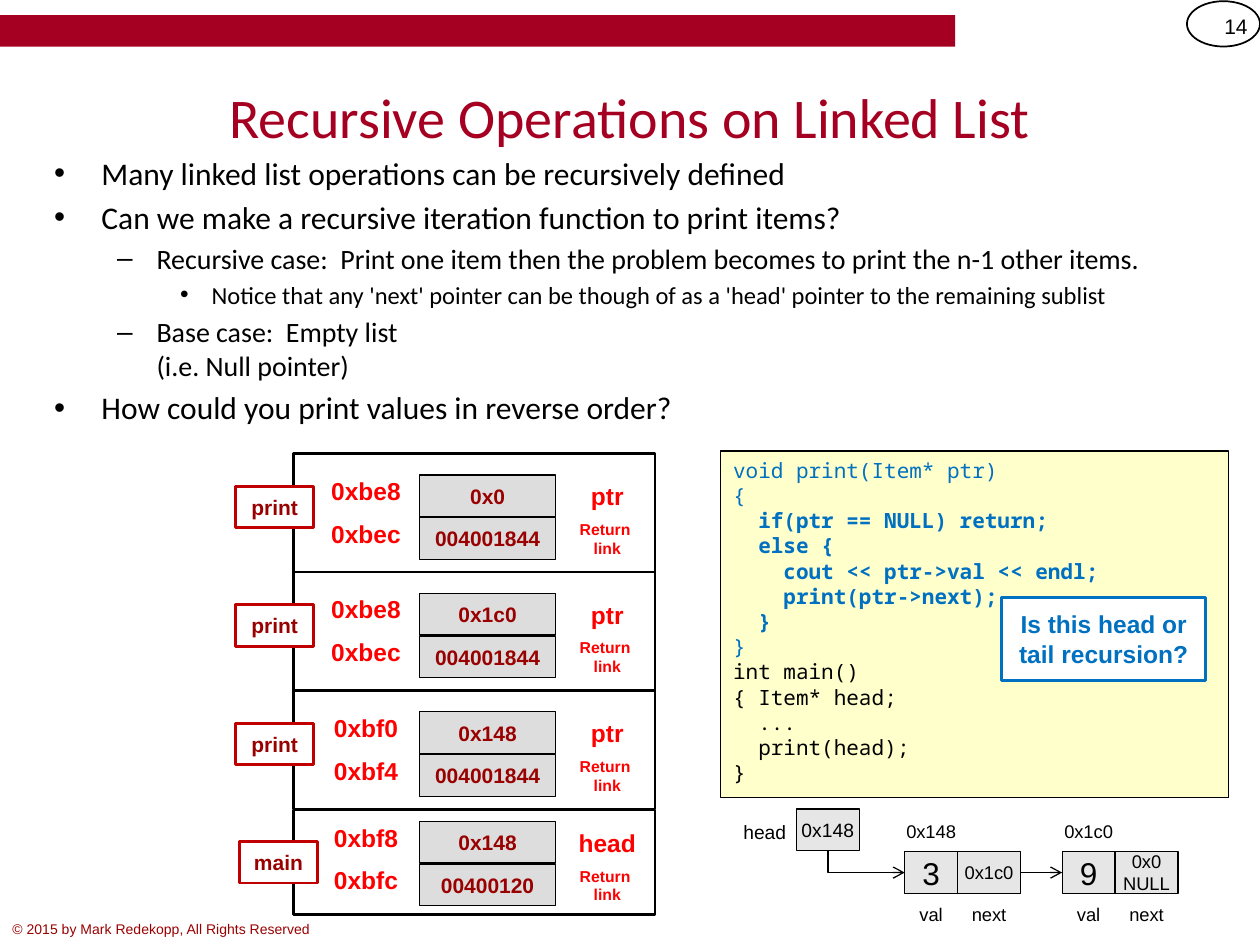
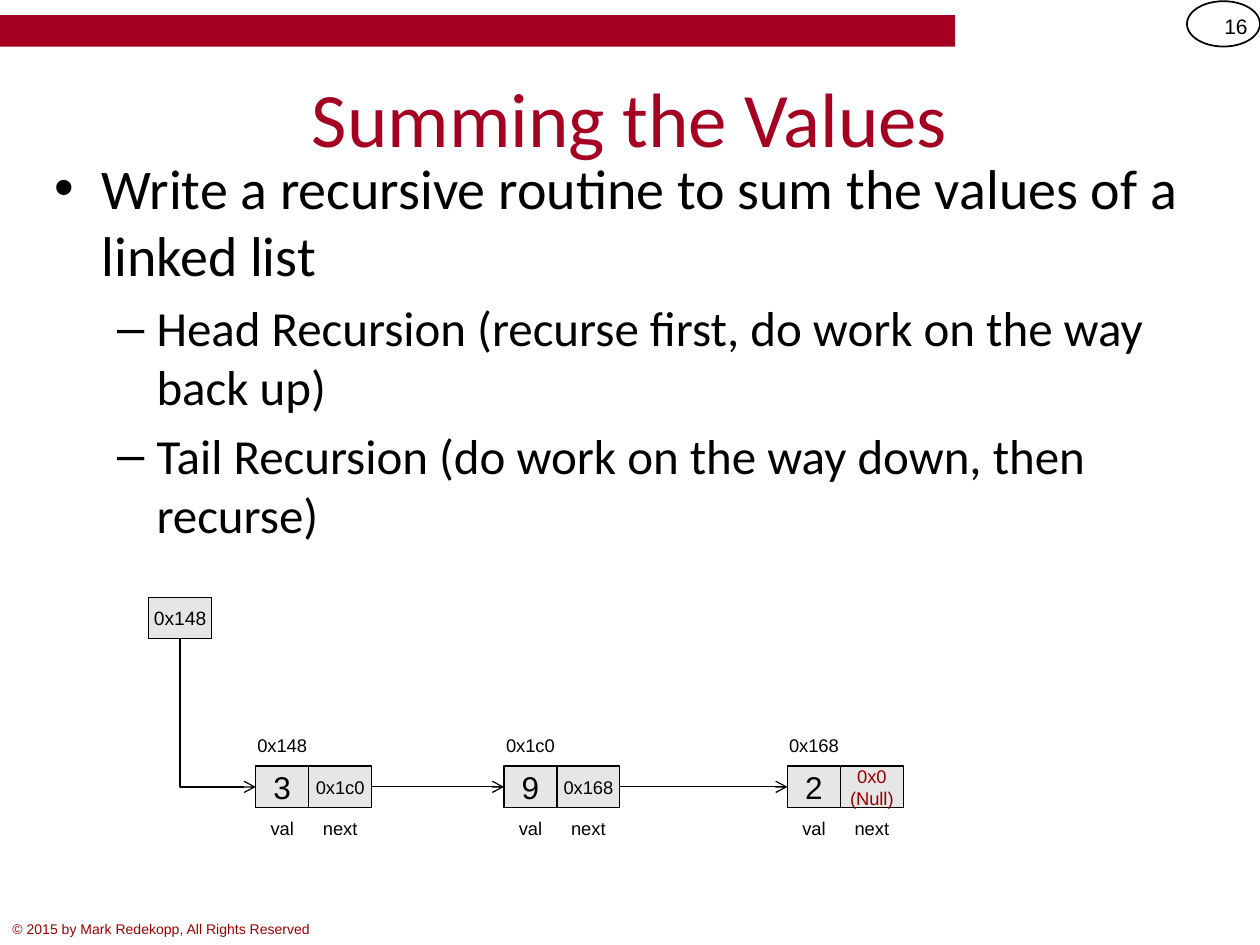
from copy import deepcopy

from pptx import Presentation
from pptx.dml.color import RGBColor
from pptx.enum.shapes import MSO_CONNECTOR, MSO_SHAPE
from pptx.enum.text import MSO_ANCHOR, MSO_AUTO_SIZE, PP_ALIGN
from pptx.oxml.ns import qn
from pptx.util import Inches, Pt
from lxml import etree

COLORS = {
    "black": "000000",
    "white": "FFFFFF",
    "crimson": "A50021",
    "maroon": "990000",
    "tag_line": "C00000",
    "red": "FF0000",
    "blue": "0070C0",
    "node": "E6E6E6",
    "memory": "DDDDDD",
    "code": "FFFFCC",
}
BULLET_SIZES = {"small": (18, 16, 14), "large": (32, 28)}
VALUE_WIDTH, NEXT_WIDTH, CELL_HEIGHT = 0.42, 0.5, 0.33

OPERATIONS = [
    (0, "Many linked list operations can be recursively defined"),
    (0, "Can we make a recursive iteration function to print items?"),
    (1, "Recursive case:  Print one item then the problem becomes to print the n-1 other items."),
    (2, "Notice that any 'next' pointer can be though of as a 'head' pointer to the remaining sublist"),
    (1, "Base case:  Empty list \n(i.e. Null pointer)"),
    (0, "How could you print values in reverse order?"),
]
SUMMING = [
    (0, "Write a recursive routine to sum the values of a linked list"),
    (1, "Head Recursion (recurse first, do work on the way back up)"),
    (1, "Tail Recursion (do work on the way down, then recurse)"),
]
PRINT_CODE = """void print(Item* ptr)
{
  if(ptr == NULL) return;
  else {
    cout << ptr->val << endl;
    print(ptr->next);
  }
}
int main()
{ Item* head;
  ...
  print(head);
}"""
BOLD_CODE_LINES = range(2, 7)
PRINT_FUNCTION_LINES = 8

# addresses of the two cells, then their contents
PRINT_FRAMES = [
    ("0xbe8", "0xbec", "0x0", "004001844"),
    ("0xbe8", "0xbec", "0x1c0", "004001844"),
    ("0xbf0", "0xbf4", "0x148", "004001844"),
]
MAIN_FRAME = ("0xbf8", "0xbfc", "0x148", "00400120")


def rgb(name):
    return RGBColor.from_string(COLORS[name])


def write(paragraph, text, size=12, font="Arial", color="black", bold=False, align=None):
    paragraph.text = text
    paragraph.alignment = align
    for run in paragraph.runs:
        run.font.size = Pt(size)
        run.font.name = font
        run.font.bold = bold
        run.font.color.rgb = rgb(color)
    # line breaks take the format of the text, so that they do not stretch a line
    for line_break in paragraph._p.findall(qn("a:br")):
        line_break.insert(0, deepcopy(paragraph.runs[0]._r.rPr))


def add_label(slide, text, left, top, width, height, margin=0,
              anchor=MSO_ANCHOR.MIDDLE, align=PP_ALIGN.CENTER, **text_format):
    label = slide.shapes.add_textbox(Inches(left), Inches(top), Inches(width), Inches(height))
    frame = label.text_frame
    frame.word_wrap = True
    frame.margin_left = frame.margin_right = Inches(margin)
    frame.vertical_anchor = anchor
    write(frame.paragraphs[0], text, align=align, **text_format)


def add_box(slide, left, top, width, height, text="", fill=None, line="black",
            line_width=0.75, geometry=MSO_SHAPE.RECTANGLE, wrap=False, **text_format):
    box = slide.shapes.add_shape(geometry, Inches(left), Inches(top), Inches(width), Inches(height))
    box.shadow.inherit = False
    if fill:
        box.fill.solid()
        box.fill.fore_color.rgb = rgb(fill)
    else:
        box.fill.background()
    if line:
        box.line.color.rgb = rgb(line)
        box.line.width = Pt(line_width)
    else:
        box.line.fill.background()
    box.text_frame.word_wrap = wrap
    box.text_frame.vertical_anchor = MSO_ANCHOR.MIDDLE
    if text:
        write(box.text_frame.paragraphs[0], text, align=PP_ALIGN.CENTER, **text_format)
    return box


def add_arrow(slide, start, start_side, end):
    """Elbow arrow from a side of one box to the left side of another."""
    arrow = slide.shapes.add_connector(MSO_CONNECTOR.ELBOW, 0, 0, 0, 0)
    arrow.begin_connect(start, start_side)
    arrow.end_connect(end, 1)
    arrow.line.color.rgb = rgb("black")
    arrow.line.width = Pt(0.75)
    properties = arrow._element.spPr
    etree.SubElement(properties.find(qn("a:ln")), qn("a:tailEnd"), type="arrow")
    etree.SubElement(properties, qn("a:effectLst"))
    return arrow


def add_corner_arrow(slide, start, end):
    """Arrow that goes down from start, then right to end."""
    arrow = add_arrow(slide, start, 2, end)
    across, down = arrow.width, arrow.height
    arrow.left += (across - down) // 2
    arrow.top += (down - across) // 2
    arrow.width, arrow.height = down, across
    properties = arrow._element.spPr
    properties.find(qn("a:prstGeom")).set("prst", "bentConnector2")
    transform = properties.find(qn("a:xfrm"))
    transform.set("rot", "16200000")
    transform.set("flipH", "1")


def add_pointer_cell(slide, text, left, top, size=10.5, color="black"):
    cell = add_box(slide, left, top, NEXT_WIDTH, CELL_HEIGHT, text, fill="node",
                   wrap=True, size=size, color=color)
    cell.text_frame.margin_left = cell.text_frame.margin_right = 0
    return cell


def add_node(slide, left, top, address, value, pointer, pointer_color="black"):
    next_left = left + VALUE_WIDTH
    value_cell = add_box(slide, left, top, VALUE_WIDTH, CELL_HEIGHT, value, fill="node", size=18)
    next_cell = add_pointer_cell(slide, pointer, next_left, top, color=pointer_color)
    for text, x, y, width in [
        (address, left, top - CELL_HEIGHT, VALUE_WIDTH),
        ("val", left, top + CELL_HEIGHT, VALUE_WIDTH),
        ("next", next_left, top + CELL_HEIGHT, NEXT_WIDTH),
    ]:
        add_label(slide, text, x, y, width, CELL_HEIGHT, size=10.5)
    return value_cell, next_cell


def add_linked_list(slide, head_left, head_top, top, nodes):
    """Head pointer and its nodes, each given as (left, address, value, pointer, ...)."""
    head = add_pointer_cell(slide, "0x148", head_left, head_top, size=11)
    cells = [add_node(slide, left, top, *node) for left, *node in nodes]
    add_corner_arrow(slide, head, cells[0][0])
    for (_, next_cell), (value_cell, _) in zip(cells, cells[1:]):
        add_arrow(slide, next_cell, 3, value_cell)


def add_stack_frame(slide, top, height, padding, function, tag_left, tag_drop, variable, frame):
    add_box(slide, 2.33, top, 2.87, height, line_width=1.5)
    first_row = top + padding
    rows = zip(frame[:2], frame[2:], ((variable, 14), ("Return \nlink", 9)))
    for index, (address, content, (name, name_size)) in enumerate(rows):
        row = first_row + index * 0.34
        add_box(slide, 3.33, row, 1.08, CELL_HEIGHT, content, fill="memory", color="maroon", bold=True)
        add_label(slide, name, 4.57, row + 0.04, 0.5, 0.25, size=name_size, color="red", bold=True)
        add_label(slide, address, 2.49, row, 0.83, 0.25, size=14, color="red", bold=True)
    add_box(slide, tag_left, first_row + tag_drop, 0.62, CELL_HEIGHT, function, fill="white",
            line="tag_line", line_width=1.5, color="maroon", bold=True)


def add_code(slide):
    box = add_box(slide, 5.72, 3.58, 4.03, 2.75, fill="code", wrap=True)
    frame = box.text_frame
    frame.vertical_anchor = MSO_ANCHOR.TOP
    for index, line in enumerate(PRINT_CODE.split("\n")):
        paragraph = frame.add_paragraph() if index else frame.paragraphs[0]
        write(paragraph, line, font="Noto Sans Mono", align=PP_ALIGN.LEFT,
              color="blue" if index < PRINT_FUNCTION_LINES else "black",
              bold=index in BOLD_CODE_LINES)
        paragraph.line_spacing = Pt(14.4)


def place(placeholder, left, top, width, height):
    placeholder.left, placeholder.top = Inches(left), Inches(top)
    placeholder.width, placeholder.height = Inches(width), Inches(height)
    placeholder.text_frame.auto_size = MSO_AUTO_SIZE.NONE


def add_content_slide(presentation, number, title, title_size, bullets, sizes, body_area):
    slide = presentation.slides.add_slide(presentation.slide_layouts[1])
    add_box(slide, 0, 0.12, 7.58, 0.25, fill="crimson", line=None)
    add_box(slide, 9.42, 0.01, 0.58, 0.36, line_width=1, geometry=MSO_SHAPE.OVAL)
    add_label(slide, number, 9.42, 0.01, 0.58, 0.4, margin=0.1, align=PP_ALIGN.RIGHT)
    add_label(slide, "© 2015 by Mark Redekopp, All Rights Reserved", 0, 7.26, 5.33, 0.24, margin=0.1,
              anchor=MSO_ANCHOR.TOP, align=PP_ALIGN.LEFT, size=8, color="maroon")

    place(slide.shapes.title, 0.5, 0.3, 9, 1.25)
    write(slide.shapes.title.text_frame.paragraphs[0], title, size=title_size,
          font="Calibri", color="crimson", align=PP_ALIGN.CENTER)

    body = slide.placeholders[1]
    place(body, *body_area)
    for index, (level, text) in enumerate(bullets):
        paragraph = body.text_frame.add_paragraph() if index else body.text_frame.paragraphs[0]
        paragraph.level = level
        write(paragraph, text, size=BULLET_SIZES[sizes][level], font="Calibri")
    body.text_frame.paragraphs[0].space_before = Pt(0)
    return slide


def add_operations_slide(presentation):
    slide = add_content_slide(presentation, "14", "Recursive Operations on Linked List", 32,
                              OPERATIONS, "small", (0.33, 1.17, 9.83, 5.83))
    add_code(slide)
    add_linked_list(slide, 6.32, 6.42, 6.76, [
        (7.18, "0x148", "3", "0x1c0"),
        (8.43, "0x1c0", "9", "0x0\nNULL"),
    ])
    add_label(slide, "head", 5.82, 6.44, 0.5, CELL_HEIGHT, size=11)
    for index, frame in enumerate(PRINT_FRAMES):
        add_stack_frame(slide, 3.6 + index * 0.94, 0.94, 0.17, "print", 1.87, 0.09, "ptr", frame)
    add_stack_frame(slide, 6.43, 0.83, 0.09, "main", 1.9, 0.16, "head", MAIN_FRAME)
    add_box(slide, 7.95, 4.74, 1.62, 0.66, "Is this head or tail recursion?", fill="white",
            line="blue", line_width=1.5, wrap=True, size=14, color="blue", bold=True)


def add_summing_slide(presentation):
    slide = add_content_slide(presentation, "16", "Summing the Values", 44,
                              SUMMING, "large", (0.33, 1.17, 9.33, 1.42))
    add_linked_list(slide, 1.18, 4.74, 6.08, [
        (2.03, "0x148", "3", "0x1c0"),
        (4, "0x1c0", "9", "0x168"),
        (6.25, "0x168", "2", "0x0\n(Null)", "maroon"),
    ])


def main():
    presentation = Presentation()
    presentation.slide_width, presentation.slide_height = Inches(10), Inches(7.5)
    add_operations_slide(presentation)
    add_summing_slide(presentation)
    presentation.save("out.pptx")


if __name__ == "__main__":
    main()
